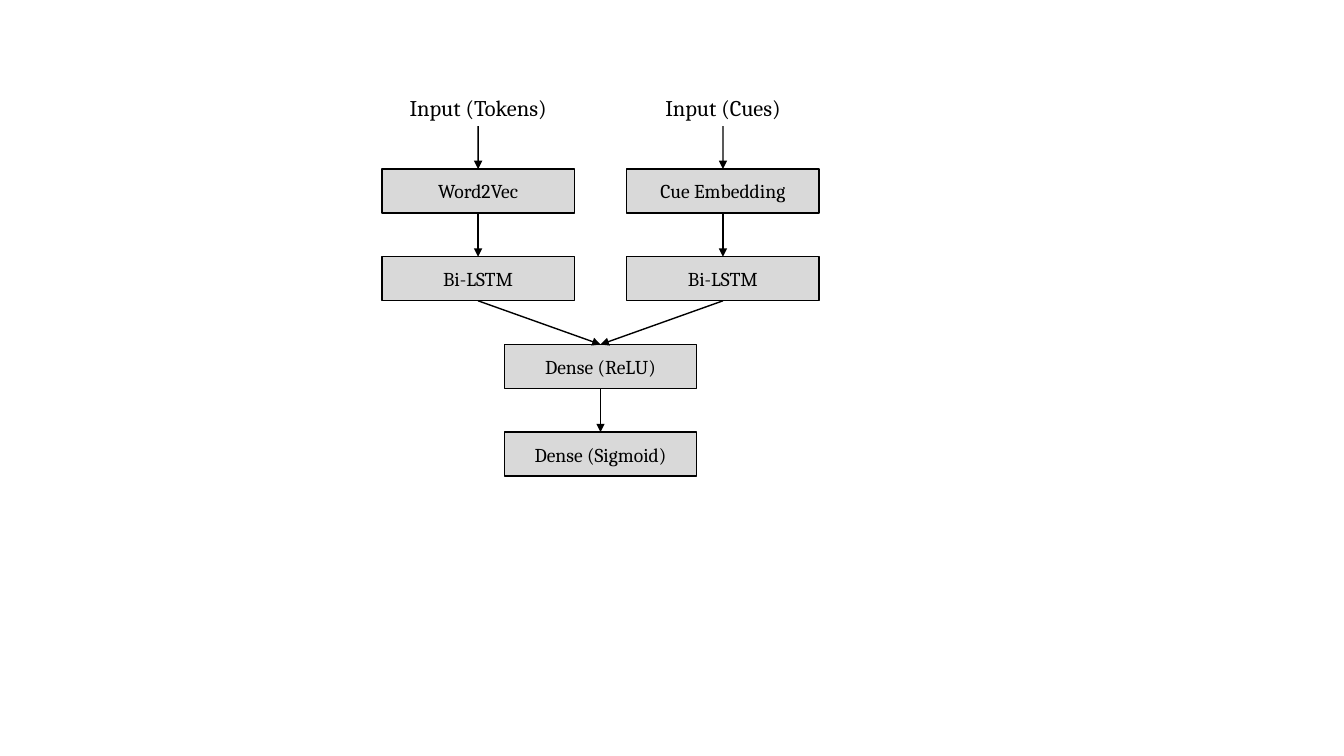
"""Build a slide with the two-branch Bi-LSTM network diagram."""
from pptx import Presentation
from pptx.dml.color import RGBColor
from pptx.enum.shapes import MSO_CONNECTOR, MSO_SHAPE
from pptx.enum.text import MSO_ANCHOR, MSO_AUTO_SIZE, PP_ALIGN
from pptx.oxml.ns import qn
from pptx.util import Cm, Pt
from lxml import etree

RECTANGLE = MSO_SHAPE.RECTANGLE
STRAIGHT = MSO_CONNECTOR.STRAIGHT
MIDDLE = MSO_ANCHOR.MIDDLE
CENTER = PP_ALIGN.CENTER
GROW = MSO_AUTO_SIZE.SHAPE_TO_FIT_TEXT

BLACK = RGBColor(0x00, 0x00, 0x00)
GREY = RGBColor(0xD9, 0xD9, 0xD9)

TOP, BOTTOM = 0, 2
TOKENS_X, CUES_X = 12.05, 18.22
MERGED_X = (TOKENS_X + CUES_X) / 2
INPUT_TOP, INPUT_WIDTH, INPUT_HEIGHT = 2.24, 4.57, 0.94
LAYER_TOP, LAYER_PITCH = 4.26, 2.21
LAYER_WIDTH, LAYER_HEIGHT = 4.85, 1.11


class NetworkDiagram:
    """Draws inputs, layers and arrows in one style on one slide."""

    font = "Cambria"
    line_width = Pt(1)

    def __init__(self, slide):
        self.slide = slide

    def set_caption(self, shape, text, size):
        frame = shape.text_frame
        frame.text = text
        frame.word_wrap = True
        paragraph = frame.paragraphs[0]
        paragraph.alignment = CENTER
        font = paragraph.runs[0].font
        font.name, font.size = self.font, Pt(size)
        font.color.rgb = BLACK

    def add_input(self, text, center):
        label = self.slide.shapes.add_textbox(
            Cm(center - INPUT_WIDTH / 2), Cm(INPUT_TOP),
            Cm(INPUT_WIDTH), Cm(INPUT_HEIGHT))
        self.set_caption(label, text, 16)
        label.text_frame.auto_size = GROW
        return label

    def add_layer(self, text, center, row):
        box = self.slide.shapes.add_shape(
            RECTANGLE, Cm(center - LAYER_WIDTH / 2),
            Cm(LAYER_TOP + row * LAYER_PITCH),
            Cm(LAYER_WIDTH), Cm(LAYER_HEIGHT))
        box.shadow.inherit = False
        box.fill.solid()
        box.fill.fore_color.rgb = GREY
        box.line.color.rgb = BLACK
        box.line.width = self.line_width
        self.set_caption(box, text, 14)
        box.text_frame.vertical_anchor = MIDDLE
        return box

    def add_arrow(self, source, target):
        link = self.slide.shapes.add_connector(STRAIGHT, 0, 0, 0, 0)
        link.begin_connect(source, BOTTOM)
        link.end_connect(target, TOP)
        link.line.color.rgb = BLACK
        link.line.width = self.line_width
        etree.SubElement(link.get_or_add_ln(), qn("a:tailEnd"), type="triangle")
        etree.SubElement(link.element.spPr, qn("a:effectLst"))


def main():
    deck = Presentation()
    deck.slide_width, deck.slide_height = Cm(33.87), Cm(19.05)
    diagram = NetworkDiagram(deck.slides.add_slide(deck.slide_layouts[6]))

    relu = diagram.add_layer("Dense (ReLU)", MERGED_X, 2)
    sigmoid = diagram.add_layer("Dense (Sigmoid)", MERGED_X, 3)
    diagram.add_arrow(relu, sigmoid)

    branches = [
        (TOKENS_X, "Input (Tokens)", "Word2Vec"),
        (CUES_X, "Input (Cues)", "Cue Embedding"),
    ]
    for center, input_text, embedding_text in branches:
        source = diagram.add_input(input_text, center)
        embedding = diagram.add_layer(embedding_text, center, 0)
        bi_lstm = diagram.add_layer("Bi-LSTM", center, 1)
        diagram.add_arrow(source, embedding)
        diagram.add_arrow(embedding, bi_lstm)
        diagram.add_arrow(bi_lstm, relu)

    deck.save("out.pptx")


if __name__ == "__main__":
    main()
